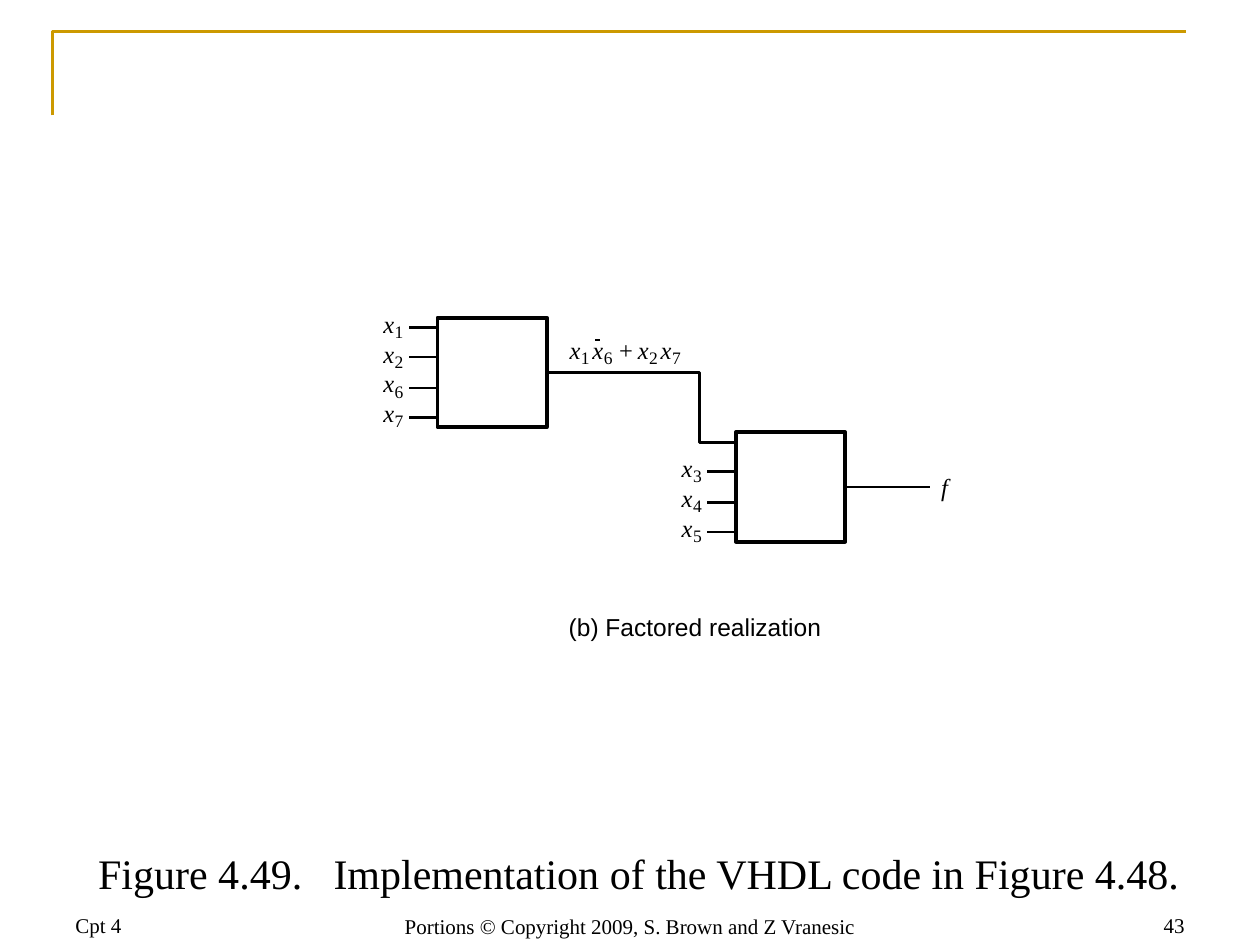
from lxml import etree
from pptx import Presentation
from pptx.dml.color import RGBColor
from pptx.enum.shapes import MSO_CONNECTOR, MSO_SHAPE
from pptx.enum.text import MSO_ANCHOR, MSO_AUTO_SIZE, PP_ALIGN
from pptx.oxml.ns import qn
from pptx.util import Pt

BLACK = RGBColor(0x00, 0x00, 0x00)
GOLD = RGBColor(0xCC, 0x99, 0x00)
SERIF = "Times New Roman"
SANS = "Arial"
STRAIGHT = MSO_CONNECTOR.STRAIGHT
RECTANGLE = MSO_SHAPE.RECTANGLE
TOP, BOTTOM = MSO_ANCHOR.TOP, MSO_ANCHOR.BOTTOM
LEFT, CENTER, RIGHT = PP_ALIGN.LEFT, PP_ALIGN.CENTER, PP_ALIGN.RIGHT
NO_AUTO_SIZE = MSO_AUTO_SIZE.NONE
RIGHT_SIDE = 3

GATE_SIZE = 62.5
PIN_LENGTH = 16.5
PIN_OFFSETS = (5.75, 22.5, 40.25, 57)
LABEL_STEP = 17


def add_text(slide, box, text, size, font=SERIF, italic=False, align=LEFT,
             anchor=TOP, inset=(0, 0), wrap=False, tab=None):
    shape = slide.shapes.add_textbox(*(Pt(value) for value in box))
    frame = shape.text_frame
    frame.word_wrap = wrap
    frame.auto_size = NO_AUTO_SIZE
    frame.vertical_anchor = anchor
    frame.margin_left = frame.margin_right = Pt(inset[0])
    frame.margin_top = frame.margin_bottom = Pt(inset[1])
    paragraph = frame.paragraphs[0]
    paragraph.alignment = align
    if tab:
        properties = paragraph._p.get_or_add_pPr()
        tab_list = etree.SubElement(properties, qn("a:tabLst"))
        etree.SubElement(tab_list, qn("a:tab"), pos=str(Pt(tab)), algn="l")
    run = paragraph.add_run()
    run.text = text
    run.font.name = font
    run.font.size = Pt(size)
    run.font.italic = italic
    run.font.color.rgb = BLACK


def add_line(slide, start, end, width=1.5):
    points = (Pt(value) for value in (*start, *end))
    line = slide.shapes.add_connector(STRAIGHT, *points)
    line.line.color.rgb = BLACK
    line.line.width = Pt(width)
    etree.SubElement(line._element.spPr, qn("a:effectLst"))
    return line


def outline(shape, color, width):
    shape.shadow.inherit = False
    shape.fill.background()
    shape.line.color.rgb = color
    shape.line.width = Pt(width)


def add_path(slide, points, color):
    start, *others = [(Pt(x), Pt(y)) for x, y in points]
    builder = slide.shapes.build_freeform(*start)
    builder.add_line_segments(others, close=False)
    outline(builder.convert_to_shape(), color, 1.5)


def add_variable(slide, left, top, index):
    add_text(slide, (left, top, 10.8, 16.5), "x", 14, italic=True)
    add_text(slide, (left + 6.5, top + 7, 8.6, 12.2), index, 10)


def add_gate(slide, left, top, inputs):
    gate = slide.shapes.add_shape(
        RECTANGLE, Pt(left), Pt(top), Pt(GATE_SIZE), Pt(GATE_SIZE))
    outline(gate, BLACK, 2.25)
    for row, (index, offset) in enumerate(zip(inputs, PIN_OFFSETS)):
        if index:
            pin_y = top + offset
            add_line(slide, (left, pin_y), (left - PIN_LENGTH, pin_y))
            add_variable(slide, left - 31, top - 5 + row * LABEL_STEP, index)
    return gate


def add_expression(slide, left, top):
    for offset, index in ((0, "1"), (13, "6"), (39, "2"), (52, "7")):
        add_variable(slide, left + offset, top, index)
    add_text(slide, (left + 28.25, top, 11.5, 16.5), "+", 14)
    add_line(slide, (left + 17.25, top + 3), (left + 14.25, top + 3), 1)


def add_circuit(slide, left, top):
    second_left, second_top = left + 170.5, top + 65.5
    middle = GATE_SIZE / 2
    add_gate(slide, left, top, ("1", "2", "6", "7"))
    second = add_gate(slide, second_left, second_top, (None, "3", "4", "5"))

    bend_x = left + 149.75
    wire_y = top + middle
    entry_y = second_top + PIN_OFFSETS[0]
    add_path(slide, [(second_left, entry_y), (bend_x, entry_y),
                     (bend_x, wire_y), (left + GATE_SIZE, wire_y)], BLACK)
    add_expression(slide, left + 75.5, top + 10)

    output_y = second_top + middle
    output = add_line(slide, (second_left + GATE_SIZE, output_y),
                      (second_left + 110.75, output_y))
    output.begin_connect(second, RIGHT_SIDE)
    add_text(slide, (second_left + 117.25, output_y - 8.5, 8, 16.5),
             "f", 14, italic=True)
    add_text(slide, (left + 75, top + 168.5, 144.7, 16.5),
             "(b) Factored realization", 14, font=SANS)


def add_frame(slide, left, top, width, height):
    add_path(slide, [(left, top + height), (left, top),
                     (left + width, top)], GOLD)


def add_caption(slide, left, top, width, height):
    add_text(slide, (left, top, width, height),
             "Figure 4.49.\tImplementation of the VHDL code in Figure 4.48.",
             24, inset=(7.2, 3.6), tab=134.5)


def add_footer(slide, left, top, width, height):
    side = 168
    parts = (
        (left, 0, side, "Cpt 4", LEFT),
        (left + side, 0.5, width - 2 * side,
         "Portions © Copyright 2009, S. Brown and Z Vranesic", CENTER),
        (left + width - side, 0, side, "43", RIGHT),
    )
    for part_left, drop, part_width, text, align in parts:
        add_text(slide, (part_left, top + drop, part_width, height), text, 12,
                 align=align, anchor=BOTTOM, inset=(7.2, 3.6), wrap=True)


def main():
    presentation = Presentation()
    presentation.slide_width = Pt(720)
    presentation.slide_height = Pt(540)
    slide = presentation.slides.add_slide(presentation.slide_layouts[6])
    add_frame(slide, 30, 18, 648, 48)
    add_footer(slide, 36, 503.5, 648, 36)
    add_caption(slide, 49, 481, 633.6, 36)
    add_circuit(slide, 250, 181.5)
    presentation.save("out.pptx")


if __name__ == "__main__":
    main()
